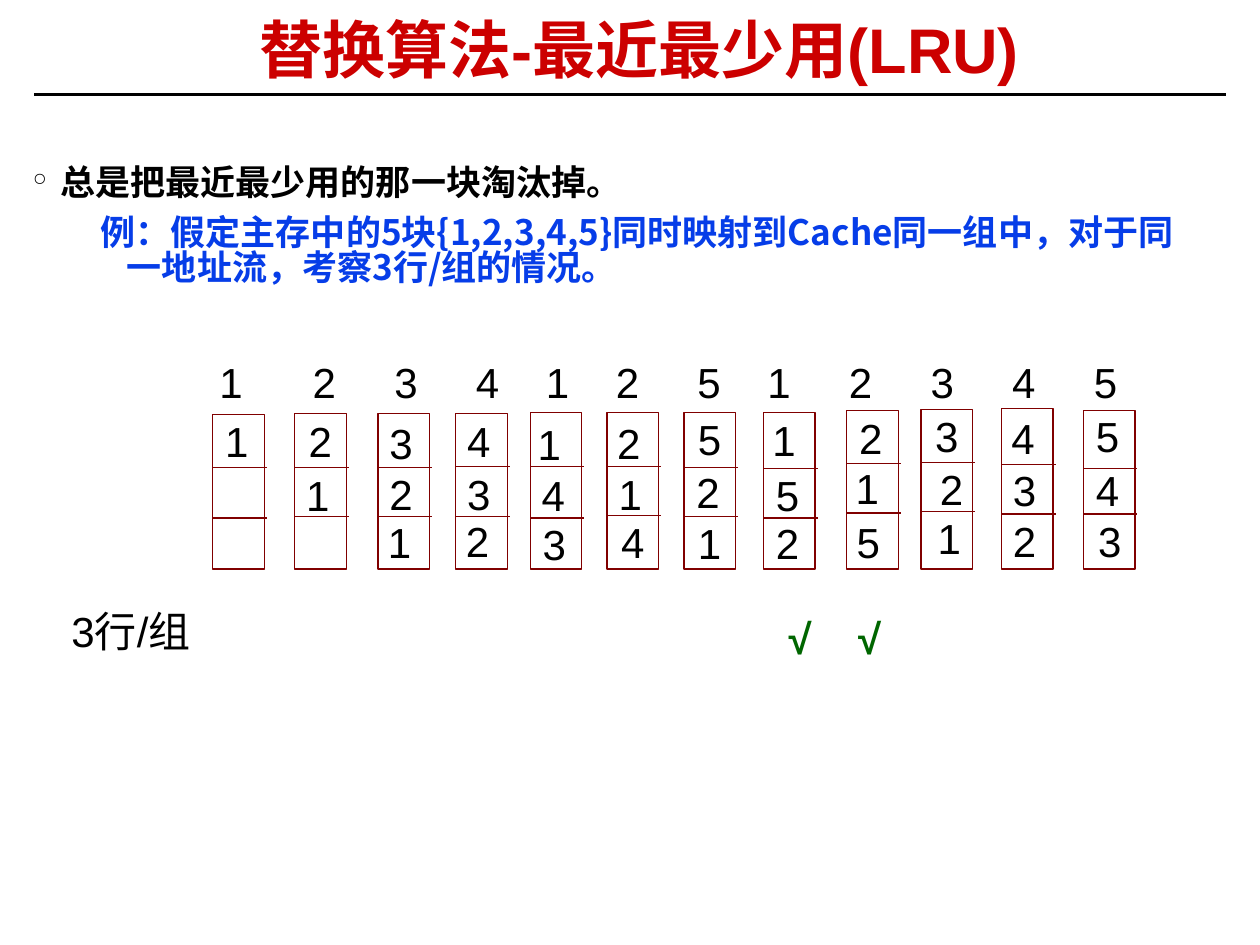
from lxml import etree
from pptx import Presentation
from pptx.dml.color import RGBColor
from pptx.enum.shapes import MSO_CONNECTOR, MSO_SHAPE
from pptx.enum.text import MSO_ANCHOR, PP_ALIGN
from pptx.oxml.ns import qn
from pptx.util import Cm, Pt

STRAIGHT = MSO_CONNECTOR.STRAIGHT
RECTANGLE = MSO_SHAPE.RECTANGLE
TOP, MIDDLE = MSO_ANCHOR.TOP, MSO_ANCHOR.MIDDLE
LEFT, CENTER = PP_ALIGN.LEFT, PP_ALIGN.CENTER

COLORS = {"black": "000000", "red": "CC0000", "blue": "063DE8",
          "maroon": "800000", "green": "006600"}
LATIN, CHINESE = "Arial", "Noto Sans CJK SC"

ADDRESSES = [1, 2, 3, 4, 1, 2, 5, 1, 2, 3, 4, 5]
ADDRESS_SPACES = [6, 5, 5, 4, 4, 5, 4, 5, 5, 5, 5]
DIGIT_WIDTH, SPACE_WIDTH = 0.47, 0.235
LINES_PER_SET = 3
FRAME_WIDTH, FRAME_BOTTOM, DIVIDER_WIDTH = 1.04, 11.47, 1.09

# Per set: left, top, divider heights, digit places (offset from left, top)
SETS = [
    (4.29, 8.36, (9.42, 10.44), [(0.25, 8.38)]),
    (5.94, 8.33, (9.42, 10.41), [(0.28, 8.38), (0.23, 9.47)]),
    (7.62, 8.33, (9.42, 10.41), [(0.23, 8.41), (0.23, 9.45), (0.2, 10.41)]),
    (9.19, 8.33, (9.4, 10.41), [(0.23, 8.38), (0.23, 9.45), (0.2, 10.39)]),
    (10.69, 8.31, (9.4, 10.44), [(0.15, 8.43), (0.23, 9.47), (0.25, 10.46)]),
    (12.24, 8.31, (9.4, 10.39), [(0.2, 8.41), (0.23, 9.45), (0.28, 10.41)]),
    (13.79, 8.31, (9.42, 10.41), [(0.28, 8.33), (0.25, 9.4), (0.28, 10.44)]),
    (15.39, 8.31, (9.45, 10.44), [(0.18, 8.36), (0.25, 9.47), (0.25, 10.44)]),
    (17.07, 8.28, (9.35, 10.34), [(0.25, 8.31), (0.18, 9.32), (0.2, 10.41)]),
    (18.57, 8.25, (9.32, 10.31), [(0.28, 8.28), (0.38, 9.35), (0.33, 10.34)]),
    (20.19, 8.23, (9.37, 10.36), [(0.2, 8.31), (0.23, 9.37), (0.23, 10.39)]),
    (21.84, 8.28, (9.45, 10.36), [(0.25, 8.28), (0.25, 9.37), (0.3, 10.39)]),
]


class SlideBuilder:
    def __init__(self, slide):
        self.slide = slide

    def text_box(self, left, top, width, height, inset=True, anchor=TOP):
        shape = self.slide.shapes.add_textbox(Cm(left), Cm(top), Cm(width), Cm(height))
        frame = shape.text_frame
        frame.word_wrap = True
        frame.vertical_anchor = anchor
        if not inset:
            frame.margin_left = frame.margin_right = 0
            frame.margin_top = frame.margin_bottom = 0
        return frame

    def style(self, paragraph, text, size=24, color="black", font=LATIN, bold=False,
              align=LEFT, indent=None, bullet=None, tabs=()):
        paragraph.text = text
        paragraph.alignment = align
        properties = paragraph._p.get_or_add_pPr()
        if indent:
            properties.set("marL", str(Cm(indent[0])))
            properties.set("indent", str(Cm(indent[1])))
        if bullet:
            etree.SubElement(properties, qn("a:buChar"), char=bullet)
        if tabs:
            tab_list = etree.SubElement(properties, qn("a:tabLst"))
            for position in tabs:
                etree.SubElement(tab_list, qn("a:tab"), pos=str(Cm(position)), algn="l")
        paragraph.font.size = Pt(size)
        paragraph.font.bold = bold
        paragraph.font.name = font
        paragraph.font.color.rgb = RGBColor.from_string(COLORS[color])
        etree.SubElement(properties.find(qn("a:defRPr")), qn("a:ea"), typeface=CHINESE)

    def line(self, left, top, width, color, weight):
        connector = self.slide.shapes.add_connector(
            STRAIGHT, Cm(left), Cm(top), Cm(left + width), Cm(top))
        connector.line.color.rgb = RGBColor.from_string(COLORS[color])
        connector.line.width = Pt(weight)
        etree.SubElement(connector._element.spPr, qn("a:effectLst"))

    def frame(self, left, top, width, height):
        shape = self.slide.shapes.add_shape(
            RECTANGLE, Cm(left), Cm(top), Cm(width), Cm(height))
        shape.shadow.inherit = False
        shape.fill.background()
        shape.line.color.rgb = RGBColor.from_string(COLORS["maroon"])
        shape.line.width = Pt(0.75)

    def cache_set(self, left, top, dividers, places, blocks):
        self.frame(left, top, FRAME_WIDTH, FRAME_BOTTOM - top)
        for height in dividers:
            self.line(left, height, DIVIDER_WIDTH, "maroon", 0.75)
        for (offset, digit_top), block in zip(places, blocks):
            box = self.text_box(left + offset, digit_top, 0.8, 1.02, inset=False)
            self.style(box.paragraphs[0], str(block))


def main():
    presentation = Presentation()
    presentation.slide_width, presentation.slide_height = Cm(25.4), Cm(19.05)
    builder = SlideBuilder(presentation.slides.add_slide(presentation.slide_layouts[6]))

    # Title and rule
    builder.line(0.69, 1.9, 24.03, "black", 1.5)
    title = builder.text_box(0.66, 0.3, 24.46, 1.57, anchor=MIDDLE).paragraphs[0]
    builder.style(title, "替换算法-最近最少用(LRU)", 36, "red", bold=True, align=CENTER)
    title.line_spacing = 0.87

    # Explanation
    body = builder.text_box(0.41, 3.25, 24, 4.27)
    principle, example = body.paragraphs[0], body.add_paragraph()
    builder.style(principle, "总是把最近最少用的那一块淘汰掉。", 20, font=CHINESE,
                  bold=True, indent=(0.56, -0.56), bullet="°")
    builder.style(example, "例：假定主存中的5块{1,2,3,4,5}同时映射到Cache同一组中，"
                  "对于同一地址流，考察3行/组的情况。", 20, "blue", CHINESE,
                  bold=True, indent=(1.9, -0.53))
    principle.line_spacing = example.line_spacing = 0.83
    example.space_before = Pt(8.8)

    # Address stream
    tabs = [SPACE_WIDTH]
    for spaces in ADDRESS_SPACES:
        tabs.append(tabs[-1] + DIGIT_WIDTH + spaces * SPACE_WIDTH)
    stream = builder.text_box(3.94, 7.06, 19.2, 2.29).paragraphs[0]
    builder.style(stream, "".join(f"\t{address}" for address in ADDRESSES), tabs=tabs)

    # Cache contents after each access, most recent block first
    blocks = []
    for address, cache_set in zip(ADDRESSES, SETS):
        blocks = [address] + [block for block in blocks if block != address]
        blocks = blocks[:LINES_PER_SET]
        builder.cache_set(*cache_set, blocks)

    # Hits and row label
    hits = builder.text_box(4.14, 12.34, 19.2, 1.02, inset=False).paragraphs[0]
    builder.style(hits, "\t√\t√", color="green", bold=True, tabs=(11.76, 13.16))
    label = builder.text_box(1.19, 12.09, 3.18, 2.29).paragraphs[0]
    builder.style(label, "3行/组")

    presentation.save("out.pptx")


if __name__ == "__main__":
    main()
